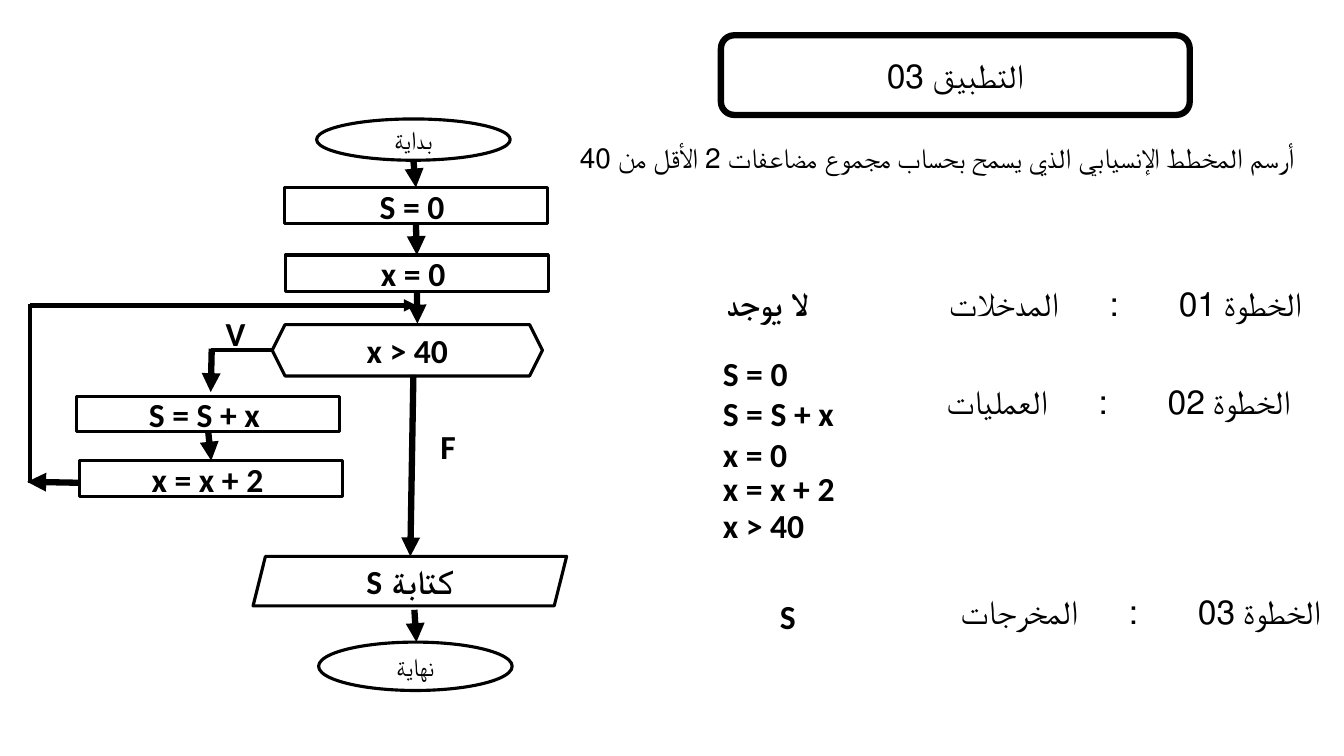
from dataclasses import dataclass
from typing import Optional

from lxml.etree import SubElement
from pptx import Presentation
from pptx.dml.color import RGBColor
from pptx.enum.shapes import MSO_CONNECTOR as Link, MSO_SHAPE as Kind
from pptx.enum.text import MSO_ANCHOR as Anchor, MSO_AUTO_SIZE as Fit, PP_ALIGN as Align
from pptx.oxml.ns import qn
from pptx.util import Emu, Pt

SCALE = 9144  # EMU in one px, 100 px to the inch
BLACK, WHITE = "000000", "FFFFFF"
TOP, BOTTOM = 0, 2


@dataclass
class Style:
    size: int = 24
    font: str = "Calibri"
    bold: bool = True
    align: Optional[Align] = None
    rtl: bool = False
    space: Optional[float] = None
    tabs: tuple[int, ...] = ()


@dataclass
class Label:
    text: str
    box: tuple[int, int, int, int]
    style: Style


@dataclass
class Node:
    key: str
    text: str
    kind: Kind
    box: tuple[int, int, int, int]
    style: Style
    line: float = 2.25
    fill: Optional[str] = WHITE


@dataclass
class Arrow:
    start: tuple[int, int]
    end: tuple[int, int]
    width: float = 4.5
    head: bool = True
    source: str = ""  # box whose bottom side the arrow leaves
    target: str = ""  # box whose top side the arrow meets


def px(value: int) -> Emu:
    return Emu(value * SCALE)


def color(code: str) -> RGBColor:
    return RGBColor.from_string(code)


def write(frame, text: str, style: Style) -> None:
    frame.word_wrap = True
    frame.text = text
    para = frame.paragraphs[0]
    para.alignment = style.align
    if style.space:
        para.line_spacing = style.space
    props = para._p.get_or_add_pPr()
    if style.rtl:
        props.set("rtl", "1")
    if style.tabs:
        stops = SubElement(props, qn("a:tabLst"))
        for stop in style.tabs:
            SubElement(stops, qn("a:tab"), pos=str(px(stop)), algn="r")
    for run in para.runs:
        run.font.size = Pt(style.size)
        run.font.name = style.font
        run.font.bold = style.bold
        run.font.color.rgb = color(BLACK)


def draw_label(slide, label: Label) -> None:
    frame = slide.shapes.add_textbox(*map(px, label.box)).text_frame
    write(frame, label.text, label.style)
    frame.auto_size = Fit.SHAPE_TO_FIT_TEXT


def draw_node(slide, node: Node):
    shape = slide.shapes.add_shape(node.kind, *map(px, node.box))
    shape.shadow.inherit = False
    if node.fill:
        shape.fill.solid()
        shape.fill.fore_color.rgb = color(node.fill)
    else:
        shape.fill.background()
    shape.line.color.rgb = color(BLACK)
    shape.line.width = Pt(node.line)
    write(shape.text_frame, node.text, node.style)
    shape.text_frame.vertical_anchor = Anchor.MIDDLE
    return shape


def draw_arrow(slide, arrow: Arrow, shapes: dict) -> None:
    ends = map(px, arrow.start + arrow.end)
    link = slide.shapes.add_connector(Link.STRAIGHT, *ends)
    if arrow.source:
        link.begin_connect(shapes[arrow.source], BOTTOM)
    if arrow.target:
        link.end_connect(shapes[arrow.target], TOP)
    link.line.color.rgb = color(BLACK)
    link.line.width = Pt(arrow.width)
    if arrow.head:
        SubElement(link.line._get_or_add_ln(), qn("a:tailEnd"), type="triangle")
    SubElement(link._element.spPr, qn("a:effectLst"))


# Text styles
CODE = Style()
MID = Style(align=Align.CENTER)
OUTPUT = Style(align=Align.RIGHT, rtl=True)
NONE = Style(font="Arial", align=Align.RIGHT, rtl=True)
WRITE = Style(align=Align.CENTER, rtl=True)
TITLE = Style(font="Arial", bold=False, align=Align.CENTER)
CAP = Style(18, "Arial", False, Align.CENTER)
TASK = Style(20, "Arial", False, Align.CENTER, True, 1.5)
STEP = Style(24, "Arial", False, Align.RIGHT, True, tabs=(182, 241))

# Task, steps and their answers
LABELS = [
    Label("أرسم المخطط الإنسيابي الذي يسمح بحساب مجموع مضاعفات 2 الأقل من 40",
          (539, 118, 781, 106), TASK),
    Label("الخطوة 01\t:\tالمدخلات", (914, 276, 387, 50), STEP),
    Label("الخطوة 02\t:\tالعمليات", (914, 373, 376, 50), STEP),
    Label("الخطوة 03\t:\tالمخرجات", (920, 581, 400, 50), STEP),
    Label("لا يوجد", (603, 276, 208, 50), NONE),
    Label("S", (707, 586, 92, 50), OUTPUT),
    Label("V", (214, 306, 32, 50), CODE),
    Label("F", (427, 418, 32, 50), CODE),
]
WORK = [("S = 0", 345), ("S = S + x", 385), ("x = 0", 426),
        ("x = x + 2", 459), ("x > 40", 496)]
LABELS += [Label(text, (707, top, 165, 50), CODE) for text, top in WORK]

# Title frame and flowchart boxes
NODES = [
    Node("title", "التطبيق 03", Kind.ROUNDED_RECTANGLE,
         (715, 35, 465, 79), TITLE, 4.5, None),
    Node("start", "بداية", Kind.OVAL, (314, 118, 192, 41), CAP),
    Node("sum", "S = 0 ", Kind.RECTANGLE, (282, 186, 261, 36), MID),
    Node("count", "x = 0 ", Kind.RECTANGLE, (283, 253, 261, 36), MID),
    Node("test", "x > 40", Kind.HEXAGON, (270, 322, 268, 51), MID),
    Node("add", "S = S + x ", Kind.RECTANGLE, (76, 393, 261, 35), MID),
    Node("next", "x = x + 2 ", Kind.RECTANGLE, (79, 457, 261, 36), MID),
    Node("print", "كتابة S", Kind.PARALLELOGRAM, (251, 552, 311, 49), WRITE),
    Node("end", "نهاية", Kind.OVAL, (316, 637, 192, 48), CAP),
]

# Flow: main column, branch, loop back
ARROWS = [
    Arrow((410, 159), (411, 186), target="sum"),
    Arrow((414, 222), (413, 253), source="sum", target="count"),
    Arrow((415, 289), (414, 321), source="count"),
    Arrow((410, 372), (407, 552)),
    Arrow((411, 605), (413, 637)),
    Arrow((272, 347), (209, 347), 3, False),
    Arrow((210, 346), (209, 389)),
    Arrow((210, 428), (209, 457), source="add", target="next"),
    Arrow((80, 479), (27, 478)),
    Arrow((30, 479), (30, 302), 3, False),
    Arrow((30, 303), (413, 303), 3),
]


def main() -> None:
    deck = Presentation()
    deck.slide_width, deck.slide_height = px(1333), px(750)
    slide = deck.slides.add_slide(deck.slide_layouts[6])
    shapes = {node.key: draw_node(slide, node) for node in NODES}
    for arrow in ARROWS:
        draw_arrow(slide, arrow, shapes)
    for label in LABELS:
        draw_label(slide, label)
    deck.save("out.pptx")


if __name__ == "__main__":
    main()
